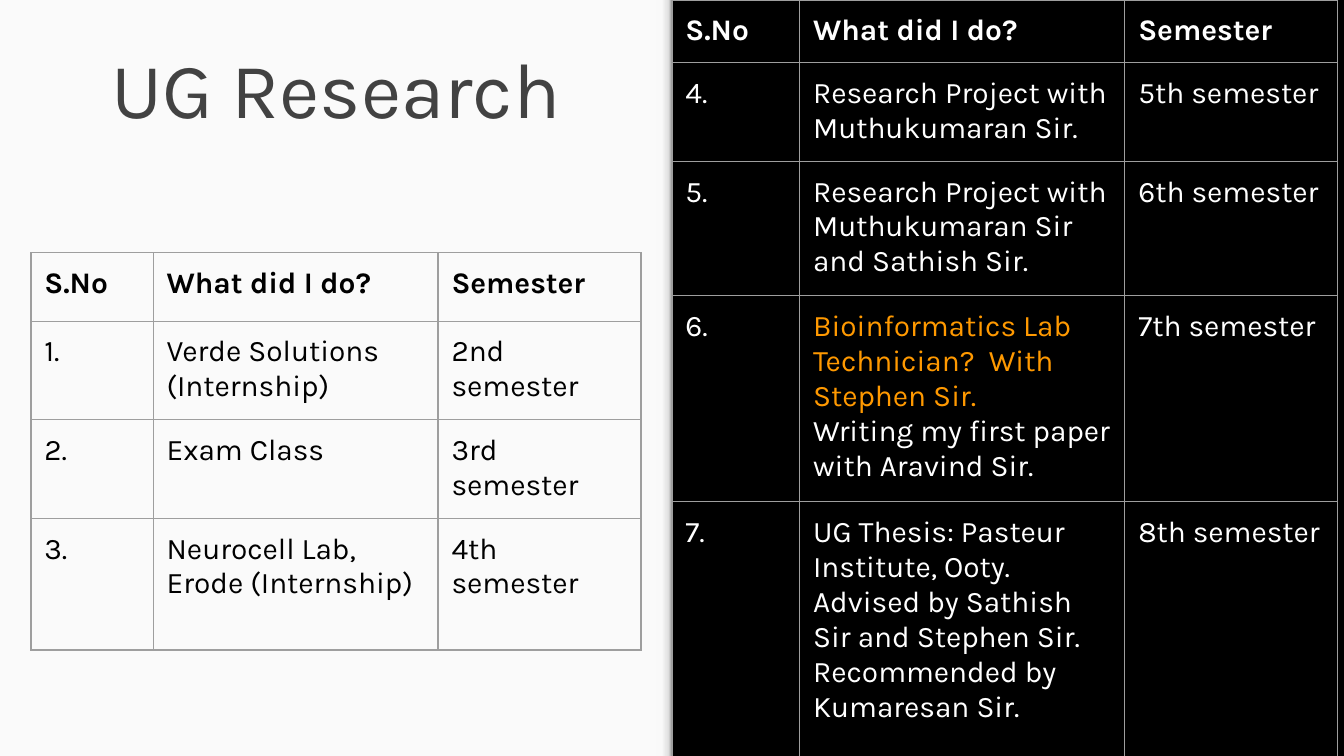
"""Build the UG Research slide with its two semester tables."""
from dataclasses import dataclass

from lxml.etree import SubElement
from pptx import Presentation
from pptx.dml.color import RGBColor
from pptx.enum.shapes import MSO_SHAPE as Preset
from pptx.enum.text import MSO_ANCHOR as Anchor, PP_ALIGN as Align
from pptx.oxml.ns import qn
from pptx.util import Inches, Pt


@dataclass(frozen=True)
class Theme:
    """Colours, font and type sizes of the slide."""
    font: str = "Karla"
    title_size: int = 42
    table_size: int = 16
    border_width: float = 0.75
    dark: str = "000000"
    light: str = "FAFAFA"
    title: str = "424242"
    white: str = "FFFFFF"
    accent: str = "FF9900"
    border: str = "9E9E9E"
    edge_stops: tuple = ((0, "F9F9F9"), (36, "F9F9F9"), (80, "DEDEDE"), (100, "999999"))


THEME = Theme()
HEADER = ("S.No", "What did I do?", "Semester")
EARLY_ROWS = (
    HEADER,
    ("1.", "Verde Solutions\n(Internship)", "2nd semester"),
    ("2.", "Exam Class", "3rd semester"),
    ("3.", "Neurocell Lab, Erode (Internship)", "4th semester"),
)
LATE_ROWS = (
    HEADER,
    ("4.", "Research Project with Muthukumaran Sir.", "5th semester"),
    ("5.", "Research Project with Muthukumaran Sir and Sathish Sir.", "6th semester"),
    ("6.", "Bioinformatics Lab Technician?  With Stephen Sir.\n"
           "Writing my first paper with Aravind Sir.", "7th semester"),
    ("7.", "UG Thesis: Pasteur Institute, Ooty. Advised by Sathish Sir and Stephen Sir.\n"
           "Recommended by Kumaresan Sir.", "8th semester"),
)


def write_text(frame, text, *, size, color, bold=False, align=Align.LEFT, anchor=Anchor.TOP):
    """Write one paragraph per line of text in the given format."""
    frame.word_wrap = True
    frame.vertical_anchor = anchor
    for index, line in enumerate(text.split("\n")):
        paragraph = frame.add_paragraph() if index else frame.paragraphs[0]
        paragraph.alignment = align
        paragraph.line_spacing = 1.0
        run = paragraph.add_run()
        run.text = line
        run.font.name = THEME.font
        run.font.size = Pt(size)
        run.font.bold = bold
        run.font.color.rgb = RGBColor.from_string(color)
        for tag in ("a:ea", "a:cs"):
            SubElement(run.font._element, qn(tag), typeface=THEME.font)


def set_margins(target):
    """Give a cell or text frame equal margins on all sides."""
    for side in ("left", "right", "top", "bottom"):
        setattr(target, f"margin_{side}", Inches(0.1))


def add_panel(slide, left, width, height):
    """Add a plain light rectangle from the top of the slide."""
    shape = slide.shapes.add_shape(Preset.RECTANGLE, Inches(left), 0, Inches(width), height)
    shape.shadow.inherit = False
    shape.line.fill.background()
    shape.fill.solid()
    shape.fill.fore_color.rgb = RGBColor.from_string(THEME.light)
    return shape


def add_edge(slide, left, width, height):
    """Add the strip that shades the panel toward its right edge."""
    shape = add_panel(slide, left, width, height)
    shape.fill.gradient()
    shape.fill.gradient_angle = 0
    stops = shape._element.spPr.find(qn("a:gradFill")).find(qn("a:gsLst"))
    for stop in list(stops):
        stops.remove(stop)
    for position, color in THEME.edge_stops:
        stop = SubElement(stops, qn("a:gs"), pos=str(position * 1000))
        SubElement(stop, qn("a:srgbClr"), val=color)


def add_title(slide, text):
    """Add the centred slide title."""
    box = slide.shapes.add_textbox(Inches(0.29), Inches(0.25), Inches(4.42), Inches(0.85))
    set_margins(box.text_frame)
    write_text(box.text_frame, text, size=THEME.title_size, color=THEME.title,
               align=Align.CENTER, anchor=Anchor.BOTTOM)


def set_borders(cell):
    """Draw a thin line on all four sides of a cell."""
    properties = cell._tc.get_or_add_tcPr()
    for index, tag in enumerate(("a:lnL", "a:lnR", "a:lnT", "a:lnB")):
        line = SubElement(properties, qn(tag), w=str(Pt(THEME.border_width)))
        properties.insert(index, line)
        fill = SubElement(line, qn("a:solidFill"))
        SubElement(fill, qn("a:srgbClr"), val=THEME.border)


def add_semester_table(slide, rows, left, top, widths, heights, color):
    """Add an unfilled table with a bold header row."""
    frame_size = Inches(3.28)
    frame = slide.shapes.add_table(len(rows), len(widths), Inches(left), Inches(top),
                                   frame_size, frame_size)
    table = frame.table
    table.first_row = table.horz_banding = False
    for column, width in zip(table.columns, widths):
        column.width = Inches(width)
    for row_index, (row, height, texts) in enumerate(zip(table.rows, heights, rows)):
        row.height = Inches(height)
        for cell, text in zip(row.cells, texts):
            set_margins(cell)
            cell.fill.background()
            set_borders(cell)
            write_text(cell.text_frame, text, size=THEME.table_size, color=color,
                       bold=row_index == 0)
    frame.width = frame.height = frame_size
    return table


def main():
    """Build and save the slide."""
    presentation = Presentation()
    presentation.slide_width, presentation.slide_height = Inches(10), Inches(10) * 9 // 16
    slide = presentation.slides.add_slide(presentation.slide_layouts[6])
    slide.background.fill.solid()
    slide.background.fill.fore_color.rgb = RGBColor.from_string(THEME.dark)

    add_panel(slide, 0, 5, presentation.slide_height)
    add_edge(slide, 4.88, 0.12, presentation.slide_height)
    add_title(slide, "UG Research")
    late_table = add_semester_table(slide, LATE_ROWS, 5, 0, (0.95, 2.42, 1.58),
                                    (0.38, 0.57, 0.68, 1.03, 2.96), THEME.white)
    technician = late_table.cell(3, 1).text_frame.paragraphs[0].runs[0]
    technician.font.color.rgb = RGBColor.from_string(THEME.accent)
    add_semester_table(slide, EARLY_ROWS, 0.23, 1.88, (0.91, 2.12, 1.51),
                       (0.51, 0.71, 0.71, 0.98), THEME.dark)
    presentation.save("out.pptx")


if __name__ == "__main__":
    main()
